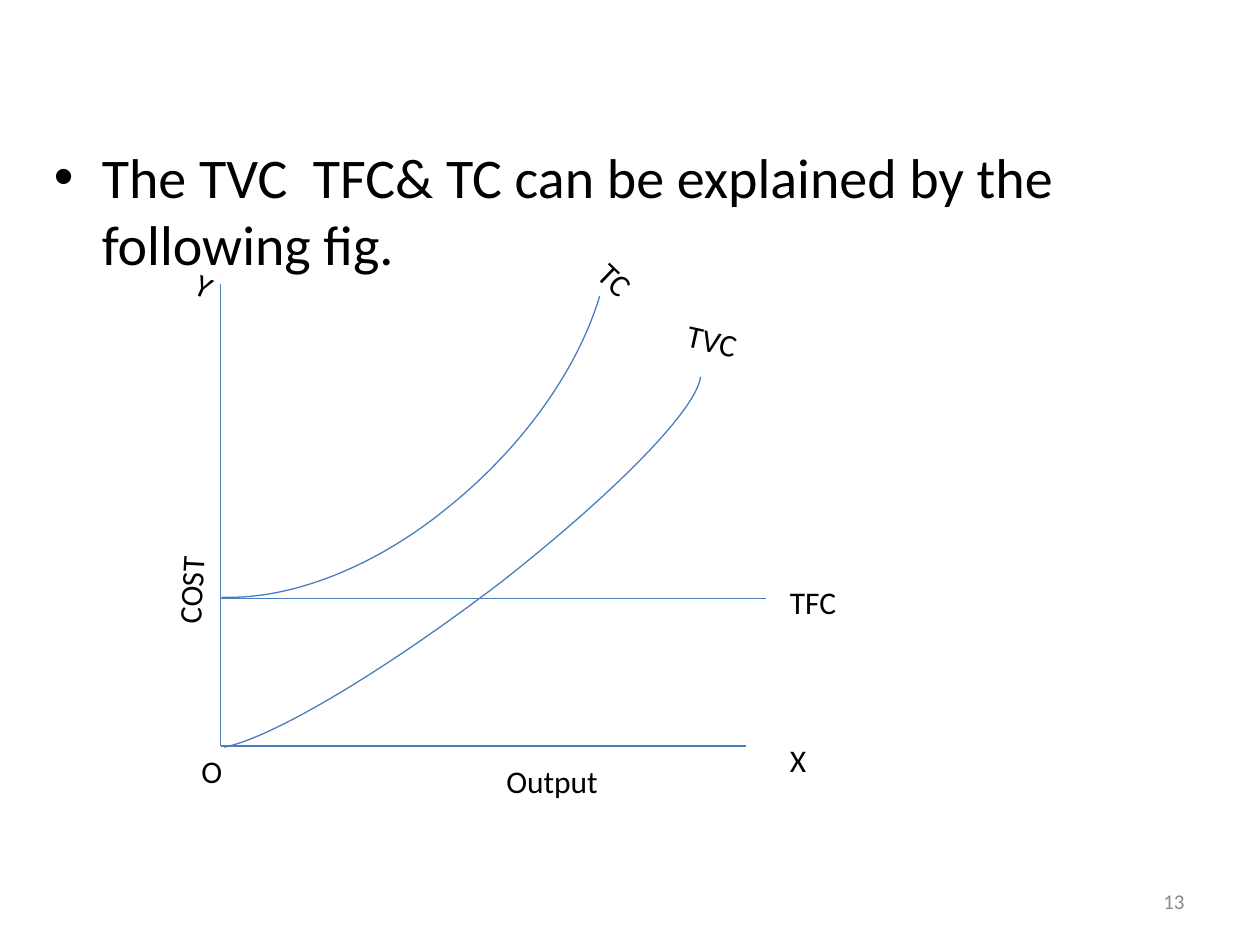
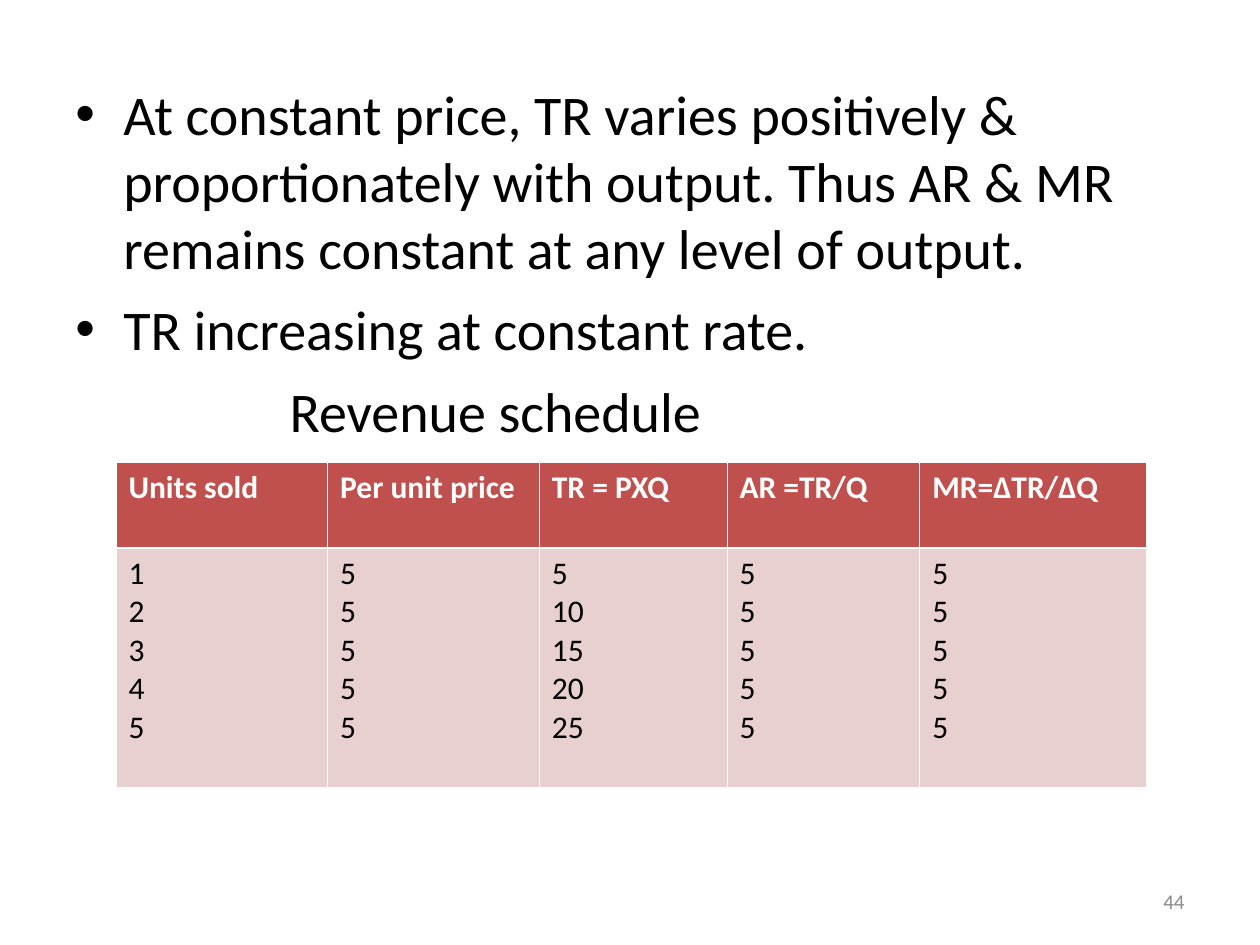
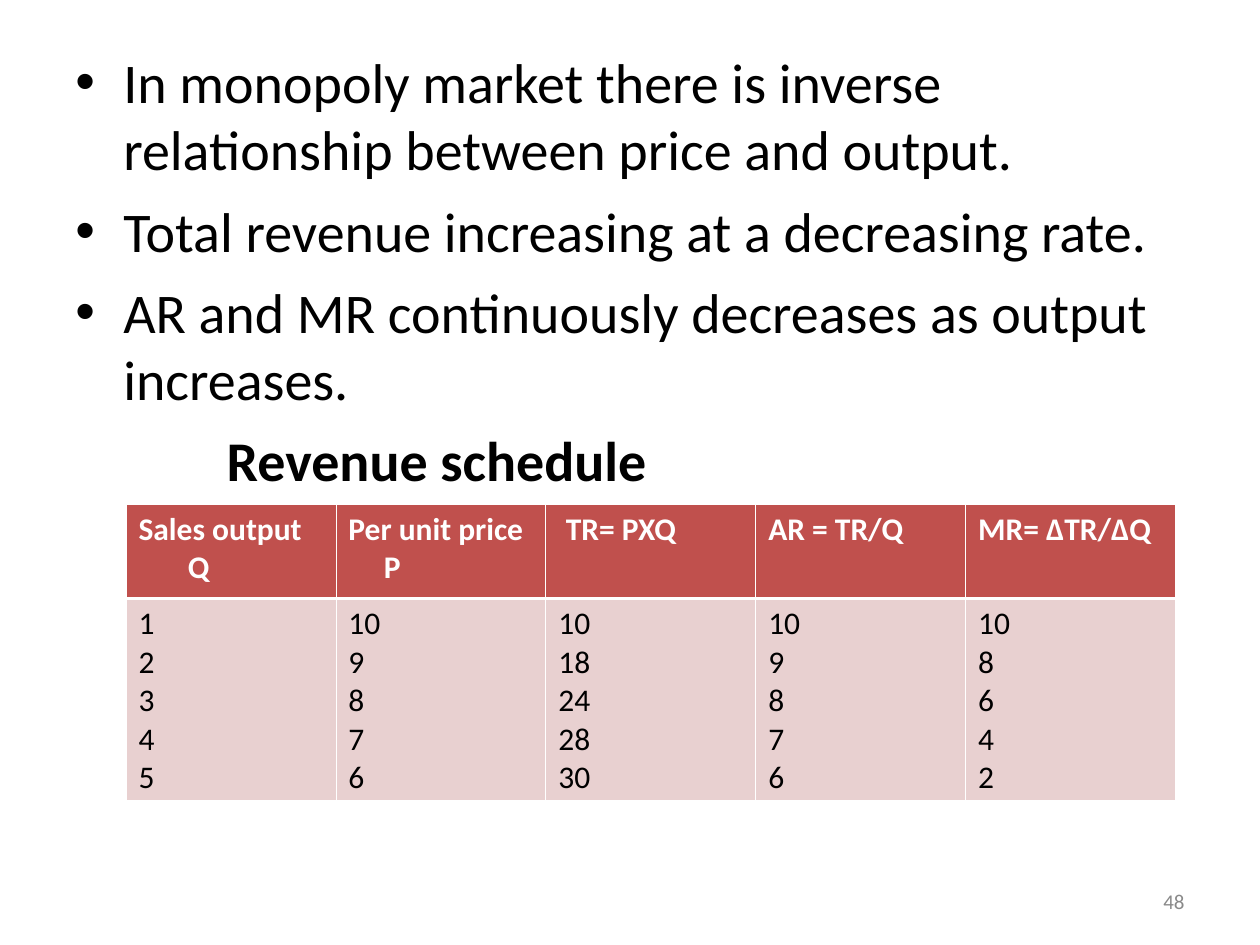
from pptx import Presentation, util as u
from pptx.dml.color import RGBColor
from pptx.enum import shapes, text
from pptx.oxml.xmlchemy import OxmlElement

HUES = {"ink": "000000", "gray": "898989", "line": "4A7EBB",
        "head": "C0504D", "body": "E8D0D0", "white": "FFFFFF"}
FONT = "Calibri"
ALIGN = {"left": text.PP_ALIGN.LEFT, "right": text.PP_ALIGN.RIGHT}


def hue(name):
    """Return the named colour."""
    return RGBColor.from_string(HUES[name])


def node(tag, *kids, **attrs):
    """Make an XML element with attributes and children."""
    item = OxmlElement(tag)
    for key, value in attrs.items():
        item.set(key, str(value))
    for kid in kids:
        item.append(kid)
    return item


def write(frame, lines, **base):
    """Fill a frame with lines, each a string or a (string, format) pair."""
    for count, line in enumerate(lines):
        words, more = (line, {}) if isinstance(line, str) else line
        style = {"size": 18, "color": "ink", "bold": False, "align": "left",
                 "left": 0, "hang": 0, "bullet": False, "gap": 0, **base, **more}
        para = frame.add_paragraph() if count else frame.paragraphs[0]
        props = para._p.get_or_add_pPr()
        props.set("marL", str(u.Inches(style["left"])))
        props.set("indent", str(-u.Inches(style["hang"])))
        if style["bullet"]:
            props.append(node("a:buFont", typeface="Arial"))
            props.append(node("a:buChar", char="•"))
        else:
            props.append(node("a:buNone"))
        para.alignment = ALIGN[style["align"]]
        para.space_before = u.Pt(style["gap"] if count else 0)
        run = para.add_run()
        run.text = words
        run.font.name = FONT
        run.font.size = u.Pt(style["size"])
        run.font.bold = style["bold"]
        run.font.color.rgb = hue(style["color"])


class Deck:
    """Hold the style and the current slide."""

    def __init__(self):
        """Start a deck of 10 by 7.5 inches."""
        self.show = Presentation()
        self.show.slide_width = u.Inches(10)
        self.show.slide_height = u.Inches(7.5)

    def page(self, number):
        """Add a slide with its number at the foot."""
        self.slide = self.show.slides.add_slide(self.show.slide_layouts[6])
        self.label((7.17, 6.95, 2.33, 0.4), [str(number)], anchor="MIDDLE",
                   size=12, color="gray", align="right")

    def label(self, spot, lines, turn=0, anchor="TOP", **style):
        """Add a text box."""
        box = self.slide.shapes.add_textbox(*map(u.Inches, spot))
        box.rotation = turn
        box.text_frame.word_wrap = True
        box.text_frame.vertical_anchor = text.MSO_ANCHOR[anchor]
        write(box.text_frame, lines, **style)

    def points(self, spot, lines):
        """Add the large bulleted text."""
        self.label(spot, lines, size=32, gap=8, left=0.38, hang=0.38, bullet=True)

    def stroke(self, shape):
        """Give a line its colour and width."""
        shape.line.color.rgb = hue("line")
        shape.line.width = u.Pt(0.75)

    def line(self, start, end):
        """Add a straight line."""
        link = self.slide.shapes.add_connector(
            shapes.MSO_CONNECTOR.STRAIGHT, *map(u.Inches, start + end))
        link._element.spPr.append(node("a:effectLst"))
        self.stroke(link)

    def curve(self, *knots):
        """Add an open Bezier curve: a start, then three knots a segment."""
        start, *rest = [(u.Inches(x), u.Inches(y)) for x, y in knots]
        pen = self.slide.shapes.build_freeform(*start)
        pen.add_line_segments(rest, close=False)
        shape = pen.convert_to_shape()
        steps = shape._element.xpath(".//a:lnTo")
        for i in range(0, len(steps), 3):
            bend = node("a:cubicBezTo")
            steps[i].addprevious(bend)
            for step in steps[i:i + 3]:
                bend.append(step[0])
                step.getparent().remove(step)
        shape.shadow.inherit = False
        shape.fill.background()
        self.stroke(shape)

    def edge(self, cell, **widths):
        """Draw white borders round a cell."""
        props = cell._tc.get_or_add_tcPr()
        for i, side in enumerate("LRTB"):
            fill = node("a:solidFill", node("a:srgbClr", val=HUES["white"]))
            width = u.Pt(widths.get(side, 0.45))
            props.insert(i, node(f"a:ln{side}", fill, w=int(width)))

    def table(self, spot, cols, rows, heads, data):
        """Add a table of one head row and one row of stacked values."""
        grid = self.slide.shapes.add_table(
            2, len(cols), *map(u.Inches, (*spot, sum(cols), sum(rows)))).table
        for row, height in zip(grid.rows, rows):
            row.height = u.Inches(height)
        for i, width in enumerate(cols):
            grid.columns[i].width = u.Inches(width)
            top, low = grid.cell(0, i), grid.cell(1, i)
            write(top.text_frame, heads[i], color="white", bold=True)
            write(low.text_frame, map(str, data[i]))
            for cell, tone, side in ((top, "head", "B"), (low, "body", "T")):
                cell.fill.solid()
                cell.fill.fore_color.rgb = hue(tone)
                self.edge(cell, **{side: 1.47})


def costs(deck):
    """Build the cost curves."""
    deck.page(13)
    deck.points((0.33, 1.08, 9, 5.62),
                ["The TVC  TFC& TC can be explained by the following fig."])
    for words, left, top, width, turn in (
            ("TC", 4.6, 2.17, 0.89, 43.7), ("TVC", 5.35, 2.56, 1.13, 12.8),
            ("TFC", 6.17, 4.58, 0.67, 0), ("Output", 3.92, 6, 0.94, 0),
            ("X", 6.17, 5.83, 0.31, 0), ("O", 1.5, 5.92, 0.5, 0),
            ("COST", 0.99, 4.32, 1.06, 272.9), ("Y", 1.45, 2.12, 0.6, 24.5)):
        deck.label((left, top, width, 0.4), [words], turn)
    zero = (1.75, 5.92)
    deck.line((1.75, 2.25), zero)
    deck.line(zero, (5.92, 5.92))
    deck.line((1.75, 4.75), (6.08, 4.75))
    deck.curve((1.76, 4.74), (2.3, 4.76), (2.96, 4.51), (3.54, 4.04),
               (4.13, 3.57), (4.58, 2.95), (4.76, 2.35))
    deck.curve((5.56, 2.99), (5.53, 3.25), (4.88, 3.91), (3.99, 4.61),
               (3.09, 5.3), (2.18, 5.85), (1.78, 5.93))


def steady(deck):
    """Build the schedule at constant price."""
    deck.page(44)
    deck.points((0.5, 0.58, 9.08, 6.12), [
        "At constant price, TR varies positively & proportionately with output. "
        "Thus AR & MR remains constant at any level of output.",
        "TR increasing at constant rate.",
        ("Revenue schedule", {"bullet": False, "left": 1.7, "hang": 0})])
    fives = [5] * 5
    deck.table((0.92, 3.67), (1.68, 1.68, 1.49, 1.53, 1.8), (0.68, 1.9),
               [["Units sold"], ["Per unit price"], ["TR = PXQ"],
                ["AR =TR/Q"], ["MR=∆TR/∆Q"]],
               [range(1, 6), fives, range(5, 30, 5), fives, fives])


def falling(deck):
    """Build the schedule under monopoly."""
    deck.page(48)
    deck.points((0.5, 0.33, 9.08, 6.58), [
        "In monopoly market there is inverse relationship between price and output.",
        "Total revenue increasing at a decreasing rate.",
        "AR and MR continuously decreases as output increases.",
        ("Revenue schedule",
         {"bullet": False, "left": 1.2, "hang": 0, "bold": True})])
    price = range(10, 5, -1)
    deck.table((1, 4), [8.33 / 5] * 5, (0.75, 1.6),
               [["Sales output", ("Q", {"left": 0.39})],
                ["Per unit price", ("P", {"left": 0.28})],
                [("TR= PXQ", {"left": 0.06})], ["AR = TR/Q"], ["MR= ∆TR/∆Q"]],
               [range(1, 6), price, (10, 18, 24, 28, 30), price, range(10, 0, -2)])


def main():
    """Build and save the slides."""
    deck = Deck()
    for build in (costs, steady, falling):
        build(deck)
    deck.show.save("out.pptx")


if __name__ == "__main__":
    main()
